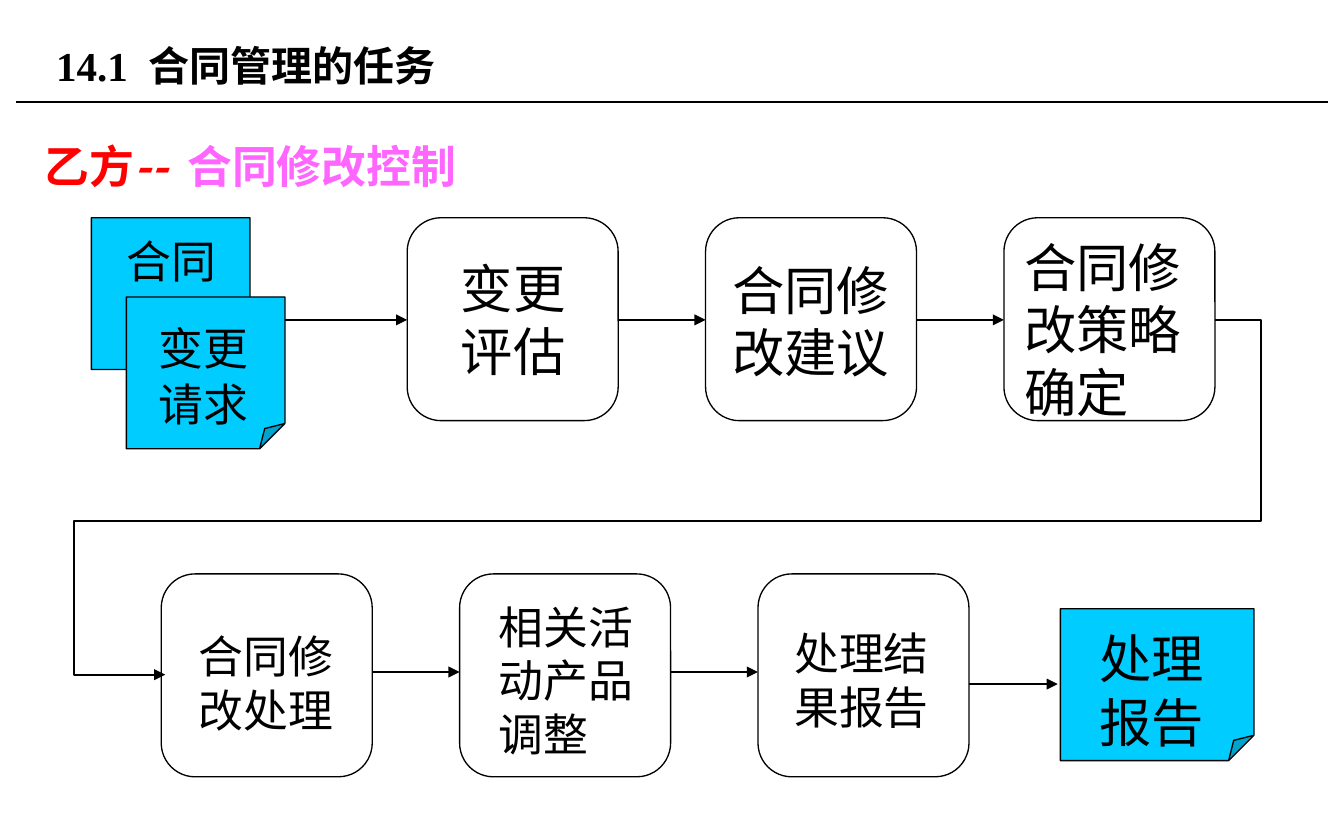
import pptx
import pptx.util
import pptx.dml.color
import pptx.enum.shapes
import pptx.enum.text
import pptx.oxml
import pptx.oxml.ns

Inches = pptx.util.Inches
Pt = pptx.util.Pt
SHAPE = pptx.enum.shapes.MSO_SHAPE
ANCHOR = pptx.enum.text.MSO_ANCHOR

COLORS = {"ink": "000000", "note": "00CCFF", "red": "FF0000", "pink": "FF66FF"}
HAN, SONG, ROMAN = "Noto Sans CJK JP", "Noto Sans CJK SC", "Times New Roman"


def color(name):
    return pptx.dml.color.RGBColor.from_string(COLORS[name])


def add_tag(parent, tag, **values):
    node = pptx.oxml.parse_xml(f"<a:{tag} {pptx.oxml.ns.nsdecls('a')}/>")
    for key, value in values.items():
        node.set(key, value)
    parent.append(node)


def add_run(para, text, size=24, font=HAN, east=None, ink="ink", bold=False, slant=False):
    run = para.add_run()
    run.text = text
    run.font.size = Pt(size)
    run.font.name = font
    run.font.bold = bold
    run.font.italic = slant
    run.font.color.rgb = color(ink)
    add_tag(run.font._element, "ea", typeface=east or font)


class Chart:
    """Holds the line style and the slide that is being drawn."""

    def __init__(self, slide, edge=0.72, flow=1):
        self.slide = slide
        self.edge = edge
        self.flow = flow

    def stroke(self, shape, width):
        shape.line.color.rgb = color("ink")
        shape.line.width = Pt(width)

    def head(self, shape):
        add_tag(shape.line._get_or_add_ln(), "tailEnd", type="triangle", w="med", len="med")

    def shape(self, kind, x, y, w, h, fill=None):
        shape = self.slide.shapes.add_shape(kind, Inches(x), Inches(y), Inches(w), Inches(h))
        shape.shadow.inherit = False
        if fill:
            shape.fill.solid()
            shape.fill.fore_color.rgb = color(fill)
        else:
            shape.fill.background()
        self.stroke(shape, self.edge)

    def line(self, x1, y1, x2, y2, width=None, arrow=True):
        line = self.slide.shapes.add_connector(
            pptx.enum.shapes.MSO_CONNECTOR.STRAIGHT,
            Inches(x1), Inches(y1), Inches(x2), Inches(y2))
        self.stroke(line, width or self.flow)
        if arrow:
            self.head(line)
        add_tag(line._element.spPr, "effectLst")

    def route(self, points):
        start, *rest = [(Inches(x), Inches(y)) for x, y in points]
        maker = self.slide.shapes.build_freeform(*start)
        maker.add_line_segments(rest, close=False)
        path = maker.convert_to_shape()
        path.shadow.inherit = False
        path.fill.background()
        self.stroke(path, self.flow)
        self.head(path)

    def frame(self, x, y, w, h, left=0.01, top=0.0, anchor=ANCHOR.TOP):
        frame = self.slide.shapes.add_textbox(
            Inches(x), Inches(y), Inches(w), Inches(h)).text_frame
        frame.word_wrap = True
        frame.margin_left, frame.margin_top = Inches(left), Inches(top)
        frame.margin_right = frame.margin_bottom = 0
        frame.vertical_anchor = anchor
        return frame

    def label(self, text, x, y, w, h, size):
        frame = self.frame(x, y, w, h, left=0.01 if "\n" in text else 0, top=0.05)
        for i, part in enumerate(text.split("\n")):
            para = frame.add_paragraph() if i else frame.paragraphs[0]
            para.line_spacing = Pt(size * 1.2)
            para.space_before = Pt(0.9)
            add_run(para, part, size=size)


def main():
    deck = pptx.Presentation()
    deck.slide_width, deck.slide_height = Inches(10), Inches(6.25)
    chart = Chart(deck.slides.add_slide(deck.slide_layouts[6]))

    # Heading and rule
    chart.line(0.12, 0.76, 9.88, 0.76, width=0.75, arrow=False)
    title = chart.frame(0.32, 0.13, 6.38, 0.71, left=0.1, anchor=ANCHOR.MIDDLE)
    add_run(title.paragraphs[0], "14.1  合同管理的任务",
            size=22, font=ROMAN, east=SONG, bold=True)
    topic = chart.frame(0.32, 1.02, 5.27, 0.42, anchor=ANCHOR.MIDDLE).paragraphs[0]
    add_run(topic, "乙方", font=ROMAN, east=SONG, ink="red", bold=True)
    add_run(topic, "--  ", font=SONG, ink="red", bold=True, slant=True)
    add_run(topic, "合同修改控制", font=ROMAN, east=SONG, ink="pink", bold=True)

    # Two rows of steps: text, left, top, width, height, size of each label
    step, wide, high = 2.22, 1.57, 1.51
    rows = [
        (3.03, 1.62, [("变更 评估", 3.43, 1.86, 0.81, 0.96, 28),
                      ("合同修 改建议", 5.45, 1.87, 1.19, 0.96, 28),
                      ("合同修改策略确定", 7.62, 1.7, 1.28, 1.43, 28)]),
        (1.2, 4.27, [("合同修 改处理", 1.48, 4.63, 1.03, 0.83, 24),
                     ("相关活 动产品 调整", 3.71, 4.41, 1.03, 1.23, 24),
                     ("处理结 果报告", 5.91, 4.61, 1.03, 0.83, 24)]),
    ]
    for left, top, labels in rows:
        for i, label in enumerate(labels):
            chart.shape(SHAPE.ROUNDED_RECTANGLE, left + i * step, top, wide, high)
            chart.label(*label)

    # Arrows
    chart.line(2.12, 2.38, 3.03, 2.38)
    for left, y in ((3.03, 2.38), (1.2, 5)):
        for i in range(2):
            x = left + i * step
            chart.line(x + wide, y, x + step, y)
    chart.line(7.21, 5.09, 7.87, 5.09)
    chart.route([(9.04, 2.38), (9.38, 2.38), (9.38, 3.88),
                 (0.55, 3.88), (0.55, 5.02), (1.23, 5.02)])

    # Notes that go in and come out
    notes = [
        (0.68, 1.62, 1.18, ("合同", 0.94, 1.69, 0.69, 0.43, 24)),
        (0.94, 2.21, 1.18, ("变更\n请求", 1.17, 2.34, 1.19, 0.84, 24)),
        (7.89, 4.53, 1.44, ("处理\n报告", 8.17, 4.61, 1.19, 0.96, 28)),
    ]
    for x, y, w, label in notes:
        chart.shape(SHAPE.FOLDED_CORNER, x, y, w, 1.13, fill="note")
        chart.label(*label)

    deck.save("out.pptx")


if __name__ == "__main__":
    main()
